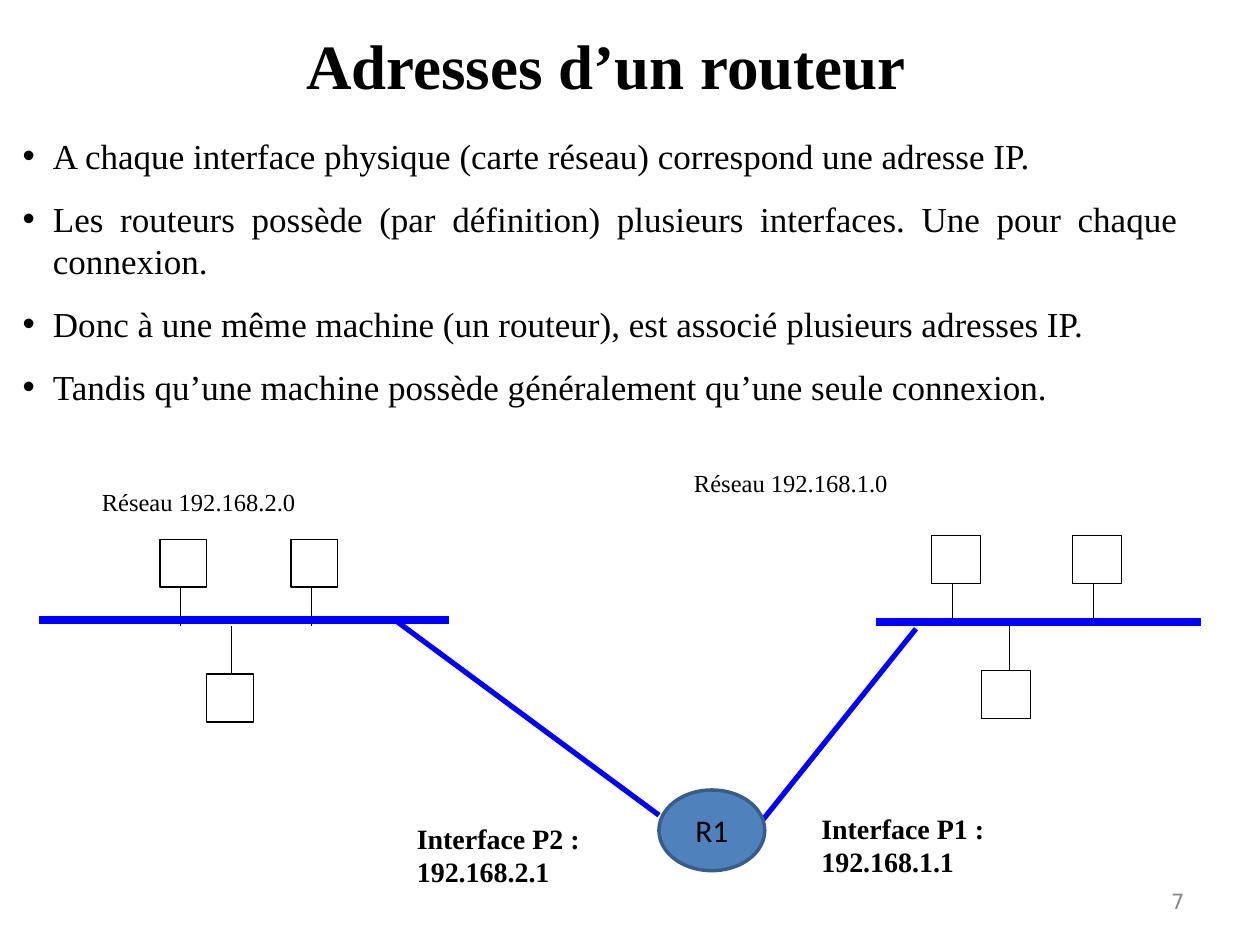
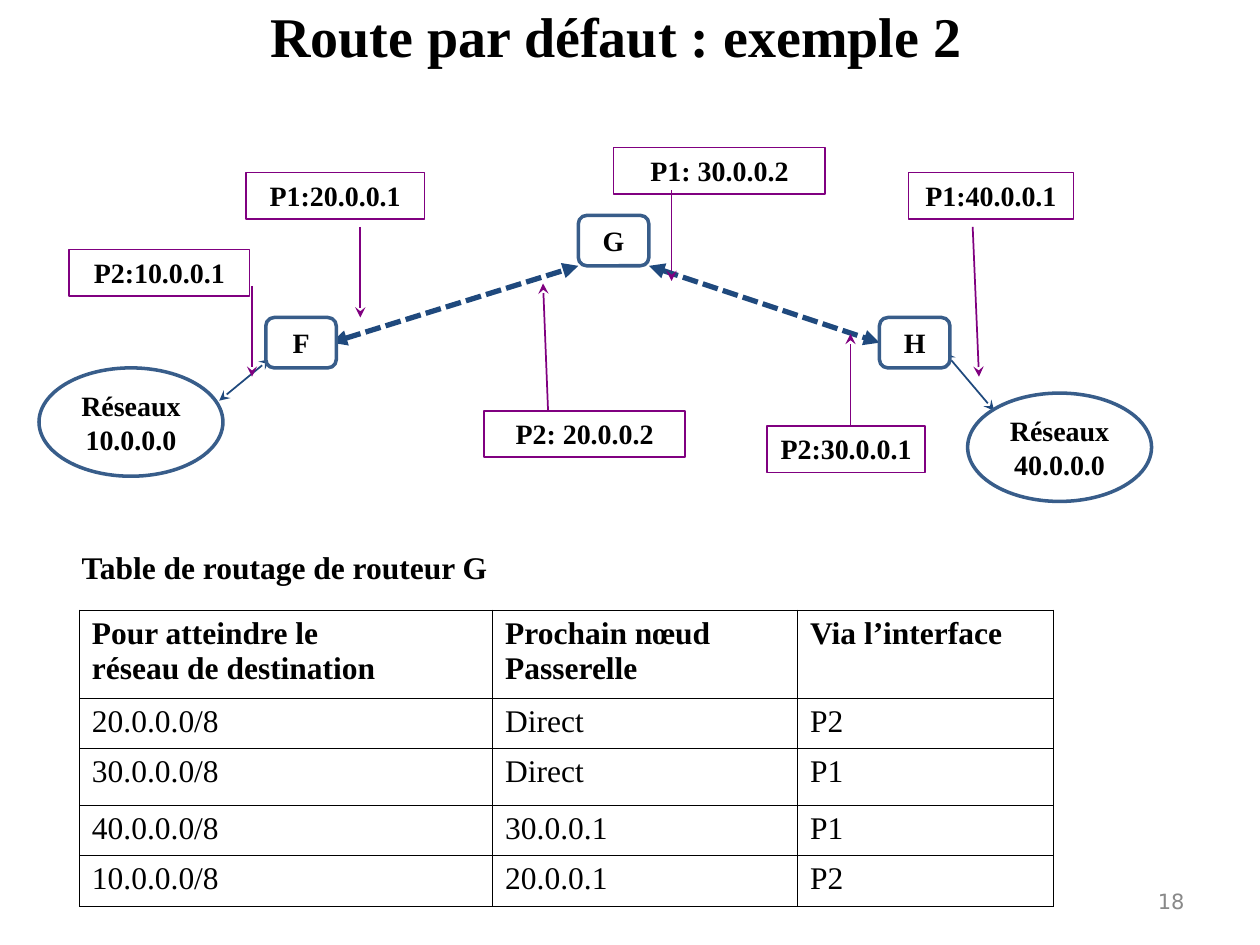
"""Builds two slides on router addresses and default routes."""
from lxml import etree
from pptx import Presentation
from pptx import util as u
from pptx.dml.color import RGBColor
from pptx.enum import dml, shapes, text
from pptx.oxml.ns import qn

BLACK = RGBColor(0x00, 0x00, 0x00)
WHITE = RGBColor(0xFF, 0xFF, 0xFF)
BLUE = RGBColor(0x00, 0x00, 0xFF)
STEEL = RGBColor(0x4F, 0x81, 0xBD)
EDGE = RGBColor(0x38, 0x5D, 0x8A)
NAVY = RGBColor(0x1F, 0x49, 0x7D)
PLUM = RGBColor(0x80, 0x00, 0x80)
GRAY = RGBColor(0x89, 0x89, 0x89)
SERIF = "Times New Roman"
ALIGN = text.PP_ALIGN
ANCHOR = text.MSO_ANCHOR
FORM = shapes.MSO_SHAPE


def write(frame, words, size=16, bold=False, font=SERIF, color=BLACK,
          align=ALIGN.LEFT, anchor=ANCHOR.TOP, wrap=True, before=0, hang=0):
    """Fill a text frame, one paragraph per line of words."""
    frame.word_wrap = wrap
    frame.auto_size = text.MSO_AUTO_SIZE.NONE
    frame.vertical_anchor = anchor
    for i, line in enumerate(words.split("\n")):
        para = frame.add_paragraph() if i else frame.paragraphs[0]
        para.alignment = align
        para.space_before = u.Pt(before)
        if hang:
            props = para._p.get_or_add_pPr()
            props.set("marL", str(u.Inches(hang)))
            props.set("indent", str(-u.Inches(hang)))
        run = para.add_run()
        run.text = line
        run.font.name, run.font.size, run.font.bold = font, u.Pt(size), bold
        run.font.color.rgb = color


def place(item, box):
    """Move an item to left, top, width, height in inches."""
    item.left, item.top, item.width, item.height = map(u.Inches, box)


class Deck:
    """Holds the presentation, its style and the current slide."""

    def __init__(self):
        self.prs = Presentation()
        self.prs.slide_width, self.prs.slide_height = u.Inches(10), u.Inches(7.5)

    def start(self, layout, title, box, size, page):
        """Add a slide with its title and page number."""
        self.slide = self.prs.slides.add_slide(self.prs.slide_layouts[layout])
        head = self.slide.shapes.title
        place(head, box)
        write(head.text_frame, title, size=size, bold=True,
              align=ALIGN.CENTER, anchor=ANCHOR.MIDDLE)
        self.label(page, (7.17, 6.95, 2.33, 0.4), size=12, font="DejaVu Sans",
                   color=GRAY, align=ALIGN.RIGHT, anchor=ANCHOR.MIDDLE)

    def list(self, words, box):
        """Fill the body placeholder with bullets."""
        body = self.slide.placeholders[1]
        place(body, box)
        write(body.text_frame, words, size=20, align=ALIGN.JUSTIFY,
              before=12, hang=0.24)

    def label(self, words, box, **form):
        """Add a text box."""
        item = self.slide.shapes.add_textbox(*map(u.Inches, box))
        write(item.text_frame, words, **form)

    def shape(self, kind, box, words="", fill=WHITE, edge=EDGE, width=2,
              bold=True, anchor=ANCHOR.MIDDLE, **form):
        """Add a preset shape with centred text."""
        item = self.slide.shapes.add_shape(kind, *map(u.Inches, box))
        item.shadow.inherit = False
        if fill is None:
            item.fill.background()
        else:
            item.fill.solid()
            item.fill.fore_color.rgb = fill
        item.line.color.rgb = edge
        item.line.width = u.Pt(width)
        if words:
            write(item.text_frame, words, bold=bold, anchor=anchor,
                  align=ALIGN.CENTER, **form)

    def line(self, start, end, color=BLACK, width=0.75, head=None, tail=None,
             dash=False):
        """Add a line, with arrowheads where named."""
        item = self.slide.shapes.add_connector(
            shapes.MSO_CONNECTOR.STRAIGHT, *map(u.Inches, start + end))
        item.line.color.rgb = color
        item.line.width = u.Pt(width)
        if dash:
            item.line.dash_style = dml.MSO_LINE.SQUARE_DOT
        props = item.element.spPr
        stroke = props.find(qn("a:ln"))
        for tag, kind in (("a:headEnd", head), ("a:tailEnd", tail)):
            if kind:
                etree.SubElement(stroke, qn(tag), type=kind)
        etree.SubElement(props, qn("a:effectLst"))

    def lan(self, top, side, hosts, bus):
        """Draw a bus with two hosts above and one below."""
        for i, (left, stem) in enumerate(hosts):
            low = i == 2
            y = top + 1.07 if low else top
            self.shape(FORM.RECTANGLE, (left, y, side, 0.38), edge=BLACK, width=0.75)
            self.line((stem, y if low else y + 0.38), (stem, top + 0.69))
        self.line(*bus, color=BLUE, width=4.5)

    def table(self, rows, box, cols, highs):
        """Add a plain ruled table with a bold first row."""
        grid = self.slide.shapes.add_table(
            len(rows), len(cols), *map(u.Inches, box)).table
        grid.first_row = grid.horz_banding = False
        for col, wide in zip(grid.columns, cols):
            col.width = u.Inches(wide)
        for r, (row, high) in enumerate(zip(rows, highs)):
            grid.rows[r].height = u.Inches(high)
            for c, words in enumerate(row):
                cell = grid.cell(r, c)
                write(cell.text_frame, words, size=18, bold=r == 0)
                cell.fill.solid()
                cell.fill.fore_color.rgb = WHITE
                self.rule(cell)

    def rule(self, cell):
        """Draw thin black borders round a cell."""
        props = cell._tc.get_or_add_tcPr()
        for i, tag in enumerate(("a:lnL", "a:lnR", "a:lnT", "a:lnB")):
            edge = etree.Element(qn(tag), w=str(u.Pt(0.45)))
            paint = etree.SubElement(edge, qn("a:solidFill"))
            etree.SubElement(paint, qn("a:srgbClr"), val=str(BLACK))
            props.insert(i, edge)


def address(deck):
    """Build the slide on the addresses of a router."""
    deck.start(1, "Adresses d’un routeur", (0.56, 0, 8.5, 1.02), 36, "7")
    deck.list("A chaque interface physique (carte réseau) correspond une adresse IP.\n"
              "Les routeurs possède (par définition) plusieurs interfaces. "
              "Une pour chaque connexion.\n"
              "Donc à une même machine (un routeur), est associé plusieurs adresses IP.\n"
              "Tandis qu’une machine possède généralement qu’une seule connexion.",
              (0.08, 1.02, 9.37, 2.58))
    deck.line((3.12, 4.91), (5.23, 6.47), color=BLUE, width=3)
    deck.line((6.02, 6.55), (7.27, 4.99), color=BLUE, width=3)
    deck.lan(4.28, 0.37, ((1.27, 1.43), (2.31, 2.47), (1.64, 1.84)),
             ((0.31, 4.92), (3.56, 4.92)))
    deck.lan(4.25, 0.39, ((7.39, 7.56), (8.51, 8.68), (7.79, 8.01)),
             ((6.95, 4.94), (9.53, 4.94)))
    deck.shape(FORM.OVAL, (5.23, 6.27, 0.84, 0.64), "R1", fill=STEEL,
               size=18, bold=False, font="Calibri")
    for net, left, top in ((2, 0.71, 3.81), (1, 5.41, 3.66)):
        deck.label(f"Réseau 192.168.{net}.0", (left, top, 1.74, 0.34), size=14,
                   anchor=ANCHOR.MIDDLE, wrap=False)
    for net, left, top in ((2, 3.21, 6.47), (1, 6.42, 6.39)):
        deck.label(f"Interface P{net} :\n192.168.{net}.1", (left, top, 1.49, 0.64),
                   bold=True, wrap=False)


def route(deck):
    """Build the slide on the default route."""
    deck.start(5, "Route par défaut : exemple 2", (0.39, 0, 9, 0.56), 32, "18")
    deck.label("Table de routage de routeur G", (0.55, 4.3, 3.45, 0.4),
               size=18, bold=True, wrap=False)
    deck.table((("Pour atteindre le\nréseau de destination",
                 "Prochain nœud Passerelle", "Via l’interface"),
                ("20.0.0.0/8", "Direct", "P2"),
                ("30.0.0.0/8", "Direct", "P1"),
                ("40.0.0.0/8", "30.0.0.1", "P1"),
                ("10.0.0.0/8", "20.0.0.1", "P2")),
               (0.63, 4.84, 7.73, 2.36), (3.28, 2.42, 2.03),
               (0.7, 0.4, 0.45, 0.4, 0.4))
    for start, end in (((1.74, 3.18), (2.14, 2.85)), ((7.5, 2.8), (7.89, 3.26))):
        deck.line(start, end, color=NAVY, width=1, head="stealth", tail="stealth")
    for start, end in (((2.63, 2.72), (4.59, 2.11)), ((5.15, 2.11), (6.98, 2.72))):
        deck.line(start, end, color=NAVY, width=3, head="triangle",
                  tail="triangle", dash=True)
    for net, left, top in ((40, 7.68, 3.12), (10, 0.31, 2.92)):
        deck.shape(FORM.OVAL, (left, top, 1.46, 0.86), f"Réseaux {net}.0.0.0")
    for name, left, top in (("F", 2.11, 2.52), ("G", 4.59, 1.71), ("H", 6.98, 2.52)):
        deck.shape(FORM.ROUNDED_RECTANGLE, (left, top, 0.56, 0.4), name)
    ports = (("P2:10.0.0.1", 0.55, 1.98, 1.43, (2, 2.27), (2, 2.99)),
             ("P2: 20.0.0.2", 3.84, 3.26, 1.6, (4.35, 3.26), (4.31, 2.25)),
             ("P2:30.0.0.1", 6.09, 3.38, 1.25, (6.75, 3.37), (6.75, 2.65)),
             ("P1:20.0.0.1", 1.95, 1.37, 1.42, (2.86, 1.8), (2.86, 2.52)),
             ("P1:40.0.0.1", 7.21, 1.37, 1.31, (7.72, 1.8), (7.77, 2.99)),
             ("P1: 30.0.0.2", 4.87, 1.17, 1.68, (5.33, 1.51), (5.33, 2.23)))
    for name, left, top, wide, start, end in ports:
        deck.shape(FORM.RECTANGLE, (left, top, wide, 0.37), name, fill=None,
                   edge=PLUM, width=1, anchor=ANCHOR.TOP)
        deck.line(start, end, color=PLUM, width=1, tail="stealth")


def main():
    """Build and save the deck."""
    deck = Deck()
    address(deck)
    route(deck)
    deck.prs.save("out.pptx")


if __name__ == "__main__":
    main()
